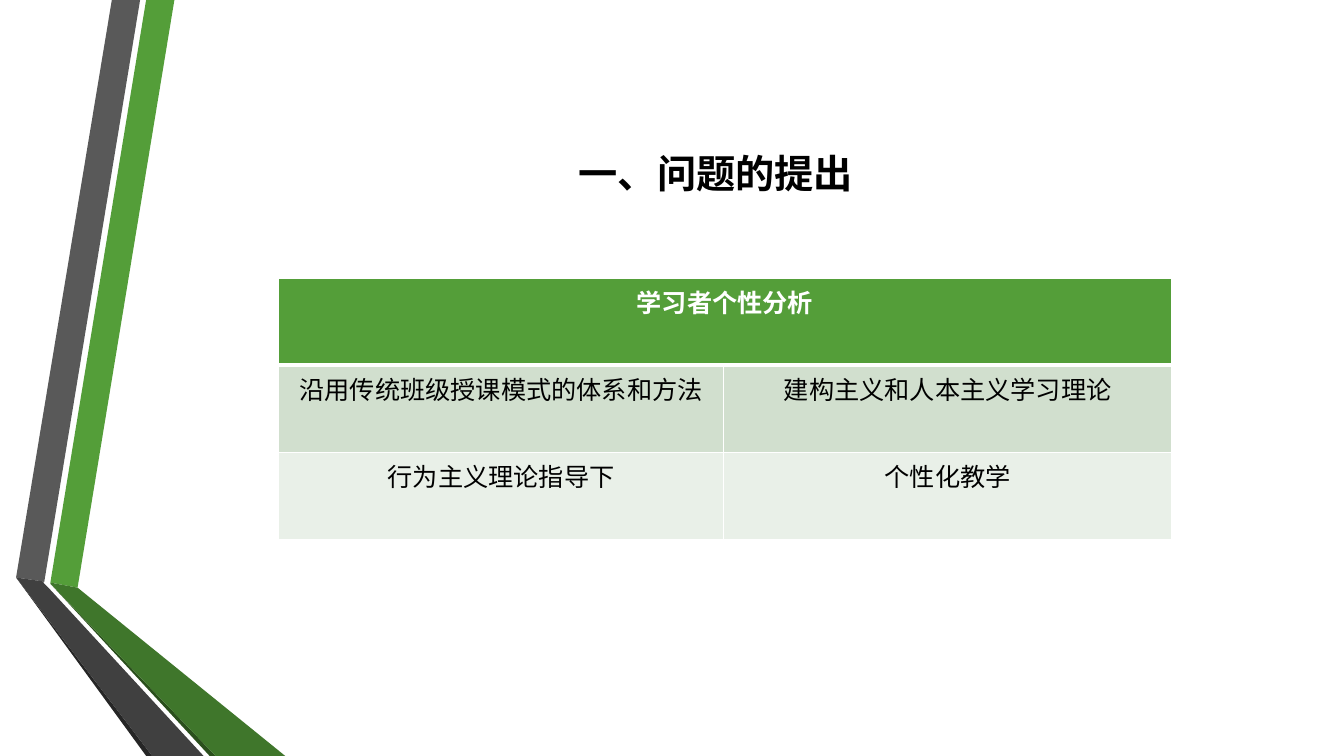
from lxml.etree import SubElement
from pptx import Presentation
from pptx.dml.color import RGBColor
from pptx.enum.text import MSO_ANCHOR, PP_ALIGN
from pptx.oxml.ns import qn
from pptx.util import Inches, Pt

COLORS = {
    "green": "549E39", "green_dark": "3F762B", "green_edge": "2A4F1C",
    "gray": "595959", "gray_dark": "404040", "gray_edge": "262626",
    "black": "000000", "white": "FFFFFF",
    "row_dark": "D1DFCE", "row_light": "E9F0E8",
}
RIBBONS = [
    ("green", [(0.5, 5.78), (0.77, 5.83), (1.73, 0), (1.45, 0)]),
    ("gray", [(1.39, 0), (1.11, 0), (0.16, 5.73), (0.44, 5.77)]),
    ("gray_edge", [(0.16, 5.73), (1.45, 7.5), (1.51, 7.5)]),
    ("green_edge", [(0.5, 5.79), (2.08, 7.5), (2.14, 7.5)]),
    ("green_dark", [(0.5, 5.79), (2.14, 7.5), (2.83, 7.5), (0.77, 5.83), (0.5, 5.78)]),
    ("gray_dark", [(2.02, 7.5), (0.48, 5.83), (0.43, 5.78), (0.44, 5.77),
                   (0.16, 5.73), (1.51, 7.5)]),
]
TITLE = "一、问题的提出"
TABLE_ROWS = [
    ["学习者个性分析", ""],
    ["沿用传统班级授课模式的体系和方法", "建构主义和人本主义学习理论"],
    ["行为主义理论指导下", "个性化教学"],
]
ROW_FILLS = ["green", "row_dark", "row_light"]
TITLE_FONT = {"name": "Calibri", "size": Pt(28), "bold": True}
HEADER_FONT = {"name": "Arial", "size": Pt(18), "bold": True}
BODY_FONT = {**HEADER_FONT, "bold": False}


def rgb(name):
    """Return the named colour."""
    return RGBColor.from_string(COLORS[name])


def add_ribbon(slide, color, points):
    """Draw one filled polygon of the side ribbon."""
    corners = [(Inches(x), Inches(y)) for x, y in points]
    builder = slide.shapes.build_freeform(*corners[0])
    builder.add_line_segments(corners[1:], close=True)
    shape = builder.convert_to_shape()
    shape.shadow.inherit = False
    shape.fill.solid()
    shape.fill.fore_color.rgb = rgb(color)
    shape.line.fill.background()


def write_text(text_frame, text, font_format, color):
    """Write one centred, formatted paragraph."""
    paragraph = text_frame.paragraphs[0]
    paragraph.alignment = PP_ALIGN.CENTER
    run = paragraph.add_run()
    run.text = text
    for attribute, value in font_format.items():
        setattr(run.font, attribute, value)
    run.font.color.rgb = rgb(color)


def set_borders(cell, widths):
    """Give a cell white borders with a width in points for each side."""
    properties = cell._tc.get_or_add_tcPr()
    for side, width in widths.items():
        line = SubElement(properties, qn(f"a:ln{side}"), w=str(Pt(width)))
        fill = SubElement(line, qn("a:solidFill"))
        SubElement(fill, qn("a:srgbClr"), val=COLORS["white"])


def add_title(slide):
    """Place and format the slide title."""
    title = slide.shapes.title
    title.left, title.top = Inches(1.62), Inches(0.75)
    title.width, title.height = Inches(10.96), Inches(1.92)
    title.text_frame.vertical_anchor = MSO_ANCHOR.MIDDLE
    write_text(title.text_frame, TITLE, TITLE_FONT, "black")


def add_analysis_table(slide):
    """Add the table with its merged header row."""
    frame = slide.shapes.add_table(3, 2, Inches(2.76), Inches(2.76),
                                   Inches(8.86), Inches(2.59))
    table = frame.table
    for column, width in zip(table.columns, (4.42, 4.44)):
        column.width = Inches(width)
    table.cell(0, 0).merge(table.cell(0, 1))
    for row_index, texts in enumerate(TABLE_ROWS):
        header = row_index == 0
        widths = {"L": 1, "R": 1, "T": 3 if row_index == 1 else 1, "B": 3 if header else 1}
        for column_index, text in enumerate(texts):
            cell = table.cell(row_index, column_index)
            set_borders(cell, widths)
            cell.fill.solid()
            cell.fill.fore_color.rgb = rgb(ROW_FILLS[row_index])
            if text:
                write_text(cell.text_frame, text, HEADER_FONT if header else BODY_FONT,
                           "white" if header else "black")


def main():
    """Build and save the slide."""
    presentation = Presentation()
    presentation.slide_width, presentation.slide_height = Inches(13.33), Inches(7.5)
    slide = presentation.slides.add_slide(presentation.slide_layouts[5])
    for color, points in RIBBONS:
        add_ribbon(slide, color, points)
    add_title(slide)
    add_analysis_table(slide)
    presentation.save("out.pptx")


if __name__ == "__main__":
    main()
